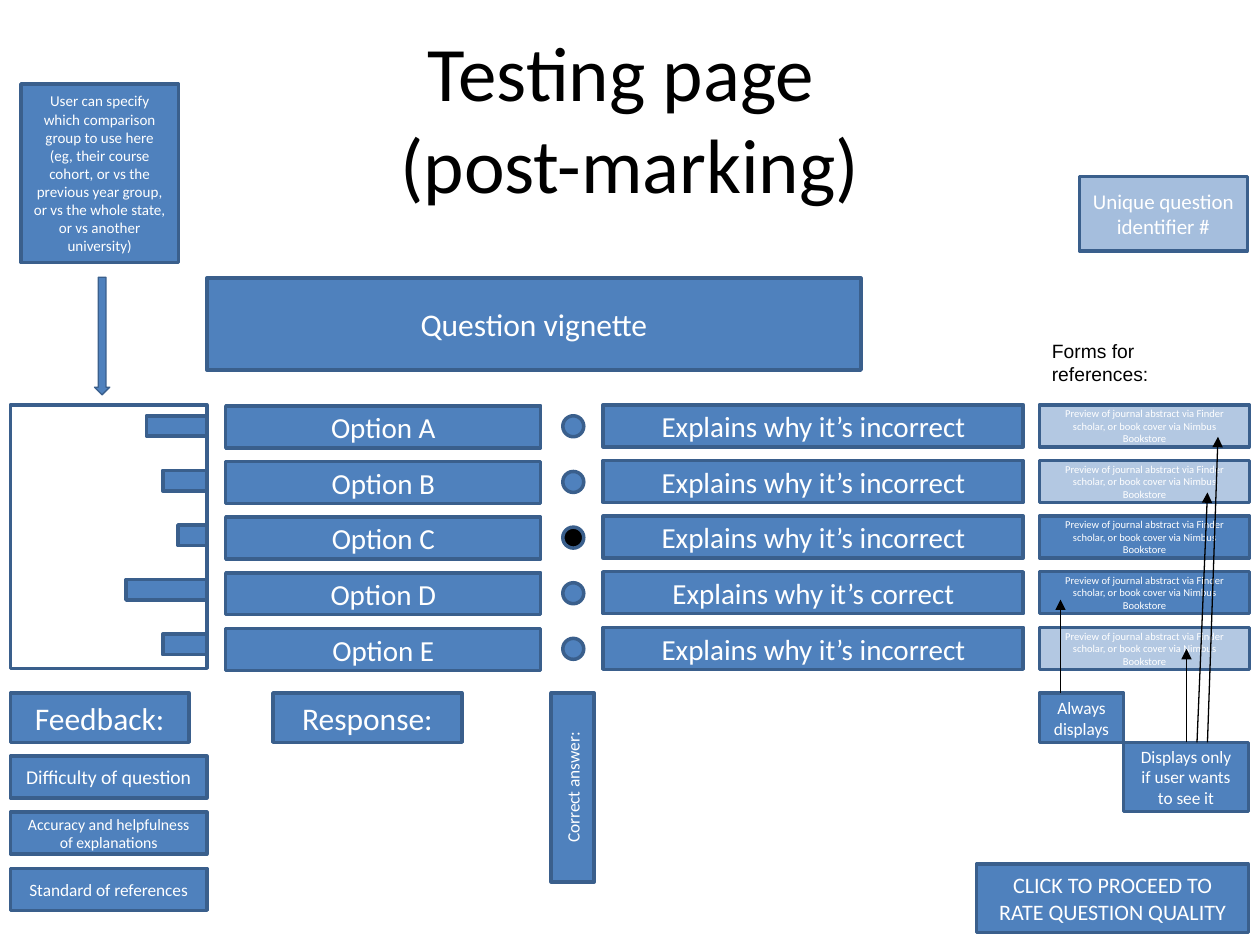
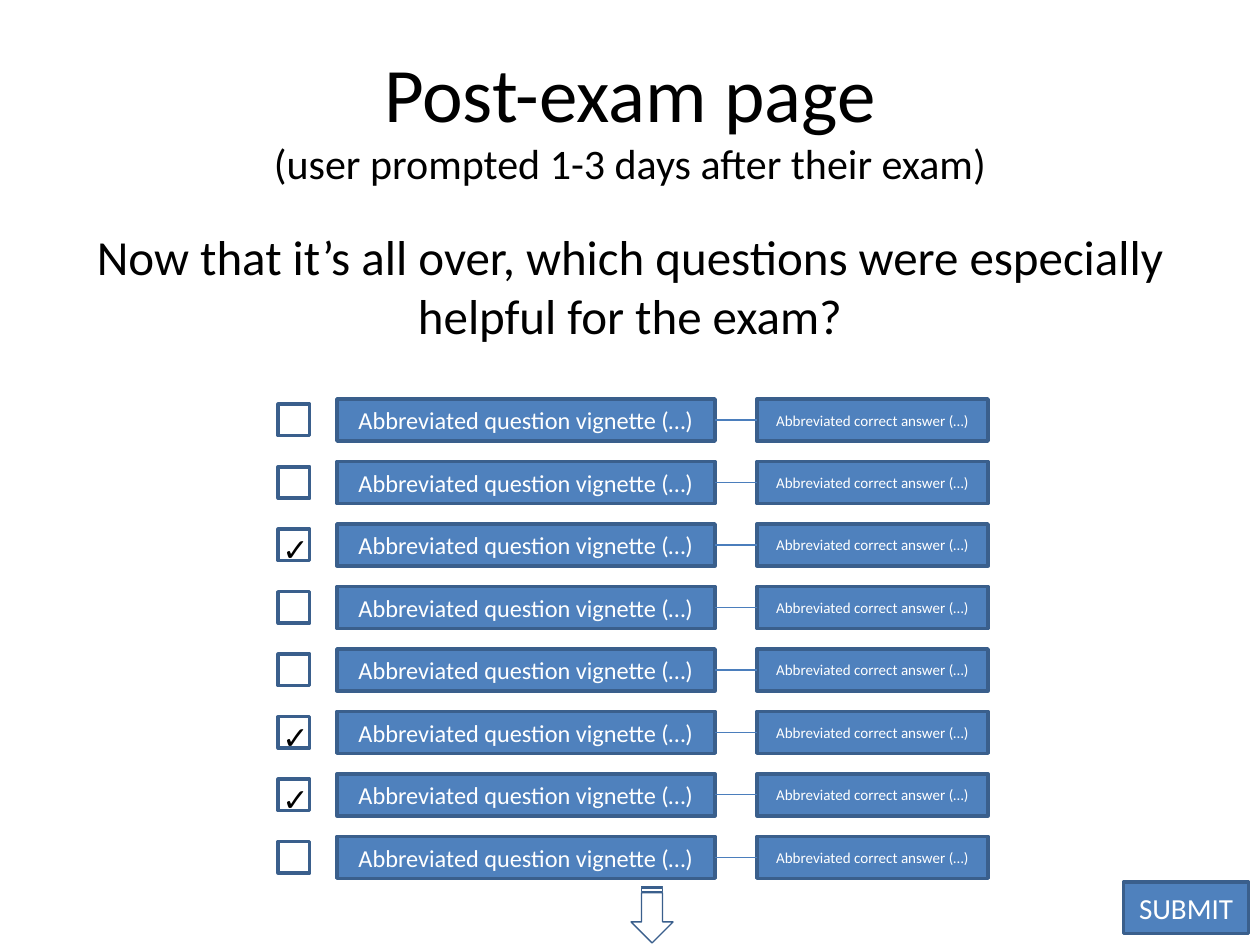
from lxml.etree import SubElement
from pptx import Presentation
from pptx.dml.color import RGBColor
from pptx.enum.shapes import MSO_CONNECTOR, MSO_SHAPE
from pptx.enum.text import MSO_ANCHOR, PP_ALIGN
from pptx.oxml.ns import qn
from pptx.util import Inches, Pt

BLUE = RGBColor(0x4F, 0x81, 0xBD)
DARK_BLUE = RGBColor(0x3A, 0x5F, 0x8C)
LINK_BLUE = RGBColor(0x4B, 0x7E, 0xBC)
WHITE = RGBColor(0xFF, 0xFF, 0xFF)
BLACK = RGBColor(0x00, 0x00, 0x00)

# Grid of 120 columns by 90 rows; every length below is counted in cells.
SLIDE_WIDTH, SLIDE_HEIGHT = Inches(10), Inches(7.5)
CELL = SLIDE_WIDTH / 120
BAR_HEIGHT = 4


def cells(*counts):
    """Turn counts of grid cells into lengths."""
    return [round(count * CELL) for count in counts]


class Wireframe:
    """Style of the page sketches, and the slide being drawn."""

    def __init__(self):
        """Start an empty presentation."""
        self.presentation = Presentation()
        self.presentation.slide_width = SLIDE_WIDTH
        self.presentation.slide_height = SLIDE_HEIGHT
        self.slide = None

    def new_slide(self, heading, subheading, subheading_size):
        """Add a blank slide with a two-line title."""
        self.slide = self.presentation.slides.add_slide(
            self.presentation.slide_layouts[6])
        frame = self.text((6, 3.6, 108, 15), f"{heading}\v{subheading}", 44,
                          align=PP_ALIGN.CENTER)
        frame.vertical_anchor = MSO_ANCHOR.MIDDLE
        frame.paragraphs[0].runs[1].font.size = Pt(subheading_size)

    def fill_text(self, frame, text, size, color, font, align):
        """Fill a text frame with one formatted paragraph."""
        frame.text = text
        frame.word_wrap = True
        paragraph = frame.paragraphs[0]
        paragraph.alignment = align
        for run in paragraph.runs:
            run.font.size = Pt(size)
            run.font.name = font
            run.font.color.rgb = color

    def text(self, area, text, size, font="Calibri", align=PP_ALIGN.LEFT):
        """Add plain black text and return its frame."""
        frame = self.slide.shapes.add_textbox(*cells(*area)).text_frame
        self.fill_text(frame, text, size, BLACK, font, align)
        return frame

    def shape(self, area, kind=MSO_SHAPE.RECTANGLE, fill=BLUE, line_width=2):
        """Add an outlined preset shape; a fill of None leaves it empty."""
        shape = self.slide.shapes.add_shape(kind, *cells(*area))
        shape.shadow.inherit = False
        shape.line.color.rgb = DARK_BLUE
        shape.line.width = Pt(line_width)
        if fill is None:
            shape.fill.background()
        else:
            shape.fill.solid()
            shape.fill.fore_color.rgb = fill
        return shape

    def box(self, area, text, size, opacity=100):
        """Add a blue box with centred white text."""
        shape = self.shape(area)
        self.fill_text(shape.text_frame, text, size, WHITE, "Calibri",
                       PP_ALIGN.CENTER)
        shape.text_frame.vertical_anchor = MSO_ANCHOR.MIDDLE
        if opacity < 100:
            color = shape.element.spPr.find(qn("a:solidFill"))[0]
            SubElement(color, qn("a:alpha")).set("val", str(opacity * 1000))
        return shape

    def line(self, start, end, color=LINK_BLUE, arrow=False):
        """Add a thin straight line, with an arrowhead at its end if asked."""
        connector = self.slide.shapes.add_connector(
            MSO_CONNECTOR.STRAIGHT, *cells(*start, *end))
        connector.line.color.rgb = color
        connector.line.width = Pt(0.75)
        properties = connector.element.spPr
        if arrow:
            outline = properties.find(qn("a:ln"))
            SubElement(outline, qn("a:tailEnd")).set("type", "triangle")
        SubElement(properties, qn("a:effectLst"))


def draw_options(page):
    """Draw the answer rows with their chosen shares and references."""
    first_row, pitch, share_pitch = 38.55, 5.3, 5.2
    reference = ("Preview of journal abstract via Finder scholar, "
                 "or book cover via Nimbus Bookstore")
    faint = 43
    # letter, verdict, width of the share bar, reference opacity
    options = [("A", "incorrect", 5.75, faint), ("B", "incorrect", 4.2, faint),
               ("C", "incorrect", 2.75, 100), ("D", "correct", 7.7, 100),
               ("E", "incorrect", 4.2, faint)]
    chosen = "C"
    chart_left, chart_width = 1, 18.7
    page.shape((chart_left, first_row, chart_width, 25.1), fill=None)
    for index, (letter, verdict, share, opacity) in enumerate(options):
        top = first_row + index * pitch
        page.box((21.5, top + 0.1, 30, BAR_HEIGHT), f"Option {letter}", 16.6)
        page.shape((53.6, top + 1.05, 2, 2), MSO_SHAPE.OVAL,
                   BLACK if letter == chosen else BLUE)
        page.box((57.45, top, 40, BAR_HEIGHT),
                 f"Explains why it’s {verdict}", 16.6)
        page.box((99, top, 20, BAR_HEIGHT), reference, 6, opacity)
        page.shape((chart_left + chart_width - share,
                    first_row + 1.05 + index * share_pitch, share, 1.95))


def draw_testing_page(page):
    """Draw the page shown once a question has been marked."""
    page.new_slide("Testing page ", "(post-marking)", 44)
    draw_options(page)
    boxes = [
        ((102.8, 16.8, 16, 7.1), "Unique question identifier #", 12, 51),
        ((19.7, 26.5, 62.3, 8.75), "Question vignette", 18, 100),
        ((2, 8, 15, 17),
         "User can specify which comparison group to use here (eg, their "
         "course cohort, or vs the previous year group, or vs the whole "
         "state, or vs another university)", 8.6, 100),
        ((1, 66, 17, 4.7), "Feedback:", 18, 100),
        ((26, 66, 18, 4.7), "Response:", 18, 100),
        ((99, 66, 8, 4.7), "Always displays", 9.9, 100),
        ((107, 70.7, 11.9, 6.6), "Displays only if user wants to see it",
         9.9, 100),
        ((93, 82.3, 25.9, 6.5), "CLICK TO PROCEED TO RATE QUESTION QUALITY",
         12.6, 100),
    ]
    for box in boxes:
        page.box(*box)
    feedback = [("Difficulty of question", 11.2),
                ("Accuracy and helpfulness of explanations", 9),
                ("Standard of references", 9.9)]
    for index, (label, size) in enumerate(feedback):
        page.box((1, 72 + index * 5.35, 18.7, BAR_HEIGHT), label, size)
    answer = page.box((52.5, 66, 4.1, 18), "Correct answer:", 9.9)
    answer.element.find(".//" + qn("a:bodyPr")).set("vert", "vert270")
    page.text((99, 31.7, 19, 3.5), "Forms for references:", 11, "Arial")
    page.shape((9, 26.4, 1.45, 11.2), MSO_SHAPE.DOWN_ARROW, line_width=0)
    arrows = [((101, 66), (101, 57.1)), ((113, 70.7), (113, 61.8)),
              ((114, 70.7), (115, 46.9)), ((115, 70.7), (116, 41.6))]
    for start, end in arrows:
        page.line(start, end, BLACK, arrow=True)


def draw_exam_page(page):
    """Draw the page on which the helpful questions are ticked."""
    page.new_slide("Post-exam page",
                   "(user prompted 1-3 days after their exam)", 24)
    prompt = page.text((6, 21, 108, 14),
                       "Now that it’s all over, which questions were "
                       "especially helpful for the exam?", 28,
                       align=PP_ALIGN.CENTER)
    prompt.paragraphs[0].space_before = Pt(5.6)
    first_row, pitch, row_count = 38, 5.95, 8
    ticked = {2, 5, 6}
    question_left, question_width, answer_left = 32.1, 36, 72.1
    for index in range(row_count):
        top = first_row + index * pitch
        middle = top + BAR_HEIGHT / 2
        page.shape((26.5, top + 0.5, 3, 3), fill=None)
        if index in ticked:
            page.text((25.7, top, 4, 4.8), "✓", 18, "Arial")
        page.box((question_left, top, question_width, BAR_HEIGHT),
                 "Abbreviated question vignette (…)", 13.9)
        page.box((answer_left, top, 22, BAR_HEIGHT),
                 "Abbreviated correct answer (…)", 8.6)
        page.line((question_left + question_width, middle),
                  (answer_left, middle))
    arrow = page.shape((59.4, 85.1, 5.4, 4), MSO_SHAPE.STRIPED_RIGHT_ARROW,
                       fill=None, line_width=0)
    arrow.rotation = 90
    page.box((107, 84, 11.9, 4.9), "SUBMIT", 16.6)


def main():
    """Build both pages and save them."""
    page = Wireframe()
    draw_testing_page(page)
    draw_exam_page(page)
    page.presentation.save("out.pptx")


main()
